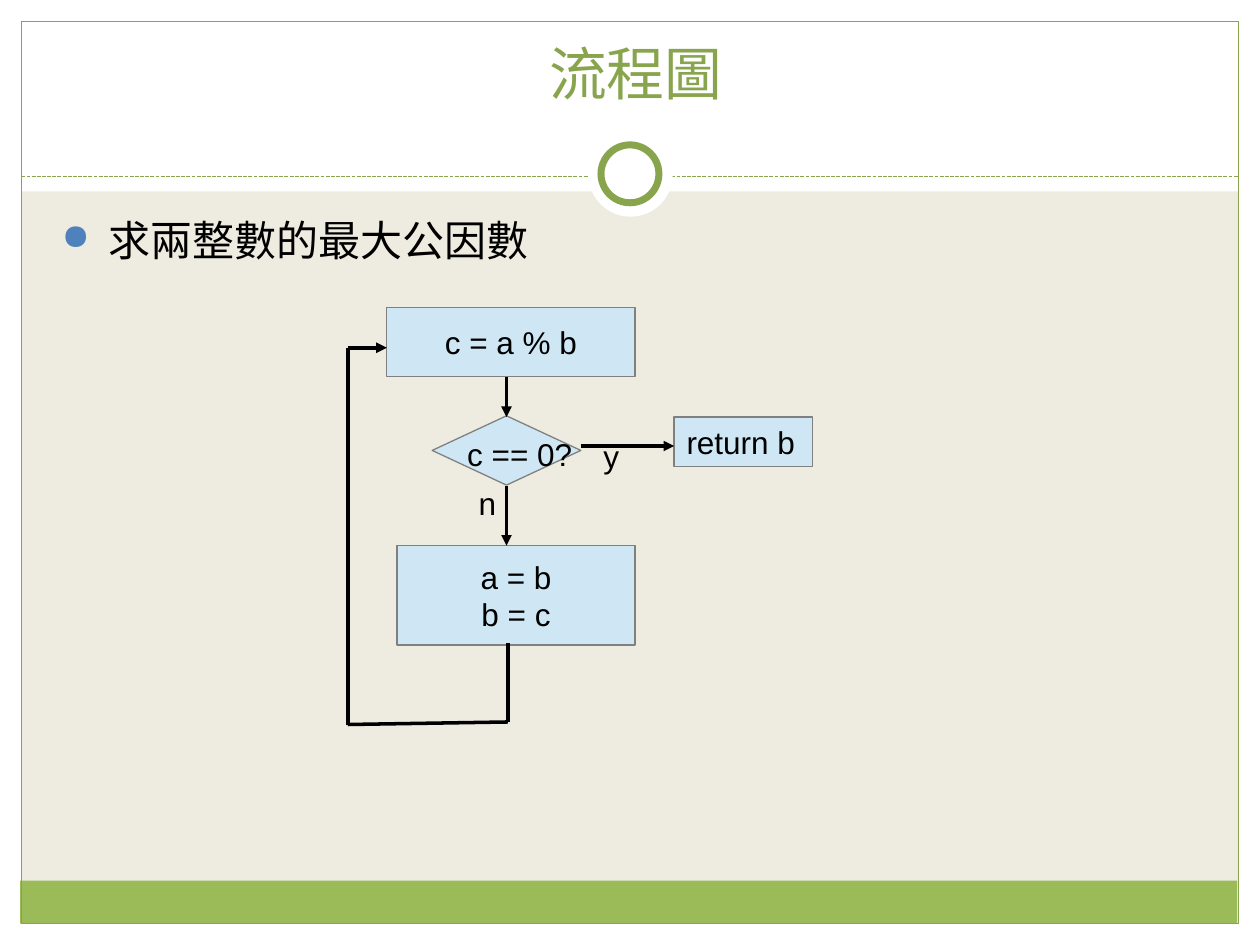
from lxml.etree import SubElement
from pptx import Presentation
from pptx.dml.color import RGBColor
from pptx.enum.dml import MSO_LINE
from pptx.enum.shapes import MSO_CONNECTOR, MSO_SHAPE
from pptx.enum.text import MSO_ANCHOR, PP_ALIGN
from pptx.oxml.ns import qn
from pptx.util import Inches, Pt

COLORS = {name: RGBColor.from_string(value) for name, value in {
    "paper": "EEECE1", "white": "FFFFFF", "band": "9BBB59", "green": "88A54E",
    "bullet": "4F81BD", "black": "000000", "box": "CFE7F5", "gray": "808080",
}.items()}

prs = Presentation()
prs.slide_width, prs.slide_height = Inches(10), Inches(7.5)
COL, ROW = prs.slide_width / 100, prs.slide_height / 75
s = prs.slides.add_slide(prs.slide_layouts[5])
s.background.fill.solid()
s.background.fill.fore_color.rgb = COLORS["paper"]


def add_box(kind, x, y, w, h, fill=None, line=None, width=0):
    sp = s.shapes.add_shape(kind, int(x * COL), int(y * ROW), int(w * COL), int(h * ROW))
    sp.shadow.inherit = False
    if fill:
        sp.fill.solid()
        sp.fill.fore_color.rgb = COLORS[fill]
    else:
        sp.fill.background()
    if line:
        sp.line.color.rgb = COLORS[line]
        sp.line.width = Pt(width)
    else:
        sp.line.fill.background()
    return sp


def add_line(x1, y1, x2, y2, color="black", width=0, arrow=False):
    cx = s.shapes.add_connector(MSO_CONNECTOR.STRAIGHT, int(x1 * COL), int(y1 * ROW),
                                int(x2 * COL), int(y2 * ROW))
    cx.line.color.rgb = COLORS[color]
    cx.line.width = Pt(width)
    if arrow:
        SubElement(cx.line._get_or_add_ln(), qn("a:tailEnd"), type="triangle")
    SubElement(cx._element.spPr, qn("a:effectLst"))
    return cx


RECT, OVAL, DIAMOND = MSO_SHAPE.RECTANGLE, MSO_SHAPE.OVAL, MSO_SHAPE.DIAMOND
for x, y, w, h in [(0, 73.3, 100, 1.7), (0, 0, 100, 15.2), (0, 0, 1.7, 75), (98.3, 0, 1.7, 75)]:
    add_box(RECT, x, y, w, h, "white")
add_box(RECT, 1.6, 69.9, 96.6, 3.4, "band")
add_box(RECT, 1.7, 1.7, 96.6, 71.6, line="green", width=0.75)
add_line(1.7, 14, 98.3, 14, "green", 0.75).line.dash_style = MSO_LINE.SQUARE_DOT
add_box(OVAL, 46.7, 10.5, 6.7, 6.7, "white")
add_box(OVAL, 47.7, 11.5, 4.6, 4.6, "white", "green", 4)

title = s.shapes.title
s.shapes._spTree.append(title._element)
title.left, title.top = int(3.3 * COL), int(2.5 * ROW)
title.width, title.height = int(93.3 * COL), int(8.3 * ROW)
tf = title.text_frame
tf.text = " 流程圖"
tf.vertical_anchor = MSO_ANCHOR.TOP
p = tf.paragraphs[0]
p.alignment = PP_ALIGN.CENTER
p.font.size, p.font.name = Pt(33), "TeX Gyre Pagella"
p.font.color.rgb = COLORS["green"]

body = s.shapes.add_textbox(int(3.9 * COL), int(16.5 * ROW), int(93 * COL), int(50 * ROW))
tf = body.text_frame
tf.word_wrap = True
p = tf.paragraphs[0]
p.text = " 求兩整數的最大公因數"
p.space_before, p.space_after = Pt(5.4), Pt(14.2)
p.font.size, p.font.name = Pt(24), "TeX Gyre Pagella"
p.font.color.rgb = COLORS["black"]
pPr = p._p.get_or_add_pPr()
pPr.set("marL", str(int(3 * COL)))
pPr.set("indent", str(int(-3 * COL)))
bullet = [("buClr", {}), ("buSzPct", {"val": "85000"}), ("buChar", {"char": "●"})]
for i, (tag, attrs) in enumerate(bullet):
    el = pPr.makeelement(qn("a:" + tag), attrs)
    if tag == "buClr":
        SubElement(el, qn("a:srgbClr"), val=str(COLORS["bullet"]))
    pPr.insert(len(pPr) - 1, el)

for kind, x, y, w, h, text in [
    (RECT, 30.7, 24.4, 19.7, 5.5, "c = a % b"),
    (DIAMOND, 34.3, 33, 11.8, 5.5, ""),
    (RECT, 53.5, 33.1, 11, 3.9, ""),
    (RECT, 31.5, 43.3, 18.9, 7.9, "a = b\nb = c"),
]:
    tf = add_box(kind, x, y, w, h, "box", "gray").text_frame
    tf.text = text
    tf.vertical_anchor = MSO_ANCHOR.MIDDLE
    for p in tf.paragraphs:
        p.alignment = PP_ALIGN.CENTER
        p.font.size, p.font.name = Pt(18), "Arial"
        p.font.color.rgb = COLORS["black"]

for x, y, w, h, text in [
    (36.1, 34, 15.1, 4.6, "c == 0?"),
    (46.9, 34.2, 3.2, 3.8, "y"),
    (53.5, 33.1, 11.8, 6.6, "return b"),
    (37, 37.9, 3.1, 3.8, "n"),
]:
    tb = s.shapes.add_textbox(int(x * COL), int(y * ROW), int(w * COL), int(h * ROW))
    tf = tb.text_frame
    tf.word_wrap = True
    p = tf.paragraphs[0]
    p.text = text
    p.font.size, p.font.name = Pt(18), "Arial"
    p.font.color.rgb = COLORS["black"]

for x1, y1, x2, y2 in [(40.2, 29.9, 40.2, 33.1), (40.2, 38.6, 40.2, 43.3), (46.1, 35.4, 53.5, 35.4)]:
    add_line(x1, y1, x2, y2, arrow=True)

loop = [(40.3, 51), (40.3, 57.3), (27.6, 57.5), (27.6, 27.6), (30.7, 27.6)]
for start, end in zip(loop, loop[1:]):
    add_line(*start, *end, arrow=end == loop[-1])

prs.save("out.pptx")
